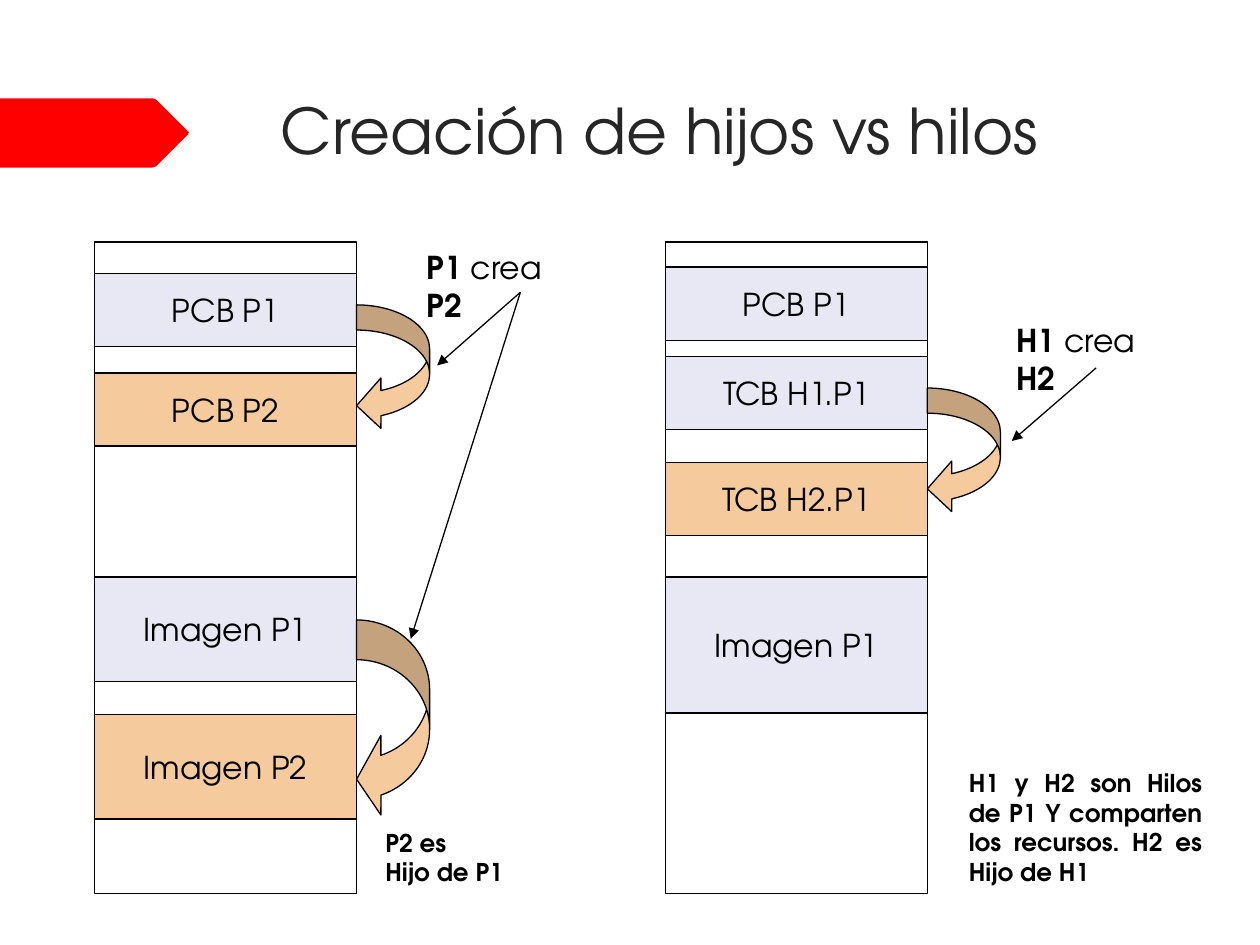
from dataclasses import dataclass

from lxml import etree
from pptx import Presentation
from pptx.dml.color import RGBColor
from pptx.enum.shapes import MSO_CONNECTOR, MSO_SHAPE
from pptx.enum.text import MSO_ANCHOR, MSO_AUTO_SIZE, PP_ALIGN
from pptx.oxml.ns import qn
from pptx.util import Inches, Pt


@dataclass(frozen=True)
class Theme:
    font: str = "TeX Gyre Adventor"
    title_size: int = 36
    label_size: int = 18
    note_size: int = 14
    line_width: float = 0.75
    title: str = "262626"
    ink: str = "000000"
    paper: str = "FFFFFF"
    parent: str = "E8E8F4"
    child: str = "F5CB9D"
    banner: str = "FF0000"


THEME = Theme()

TITLE = "Creación de hijos vs hilos"
BANNER = [(0, 0.78), (1.21, 0.78), (1.24, 0.79), (1.49, 1.04), (1.5, 1.05),
          (1.49, 1.07), (1.24, 1.32), (1.21, 1.33), (0, 1.33)]

COLUMN_TOP, COLUMN_WIDTH, COLUMN_HEIGHT = 1.92, 2.08, 5.17
BLOCK_HEIGHT, IMAGE_HEIGHT, SHARED_IMAGE_HEIGHT = 0.58, 0.83, 1.08
CURVE_WIDTH = 0.58

COLUMNS = [
    {
        "left": 0.75,
        "blocks": [
            ("PCB P1", 2.17, BLOCK_HEIGHT, THEME.parent),
            ("PCB P2", 2.96, BLOCK_HEIGHT, THEME.child),
            ("Imagen P1", 4.58, IMAGE_HEIGHT, THEME.parent),
            ("Imagen P2", 5.67, IMAGE_HEIGHT, THEME.child),
        ],
        "curves": [(2.42, 1), (4.92, 1.58)],
        "caption": ((3.29, 1.92, 1.44, 0.4), ("P1", " crea ", "P2")),
        "pointers": [((4.13, 2.32), (3.47, 2.9)), ((4.13, 2.32), (3.26, 5.07))],
        "note": ((2.96, 6.52, 1.14, 0.57), ["P2 es", "Hijo de P1"], PP_ALIGN.LEFT),
    },
    {
        "left": 5.28,
        "blocks": [
            ("PCB P1", 2.12, BLOCK_HEIGHT, THEME.parent),
            ("TCB H1.P1", 2.83, BLOCK_HEIGHT, THEME.parent),
            ("TCB H2.P1", 3.67, BLOCK_HEIGHT, THEME.child),
            ("Imagen P1", 4.58, SHARED_IMAGE_HEIGHT, THEME.parent),
        ],
        "curves": [(3.08, 1)],
        "caption": ((7.97, 2.5, 1.47, 0.4), ("H1", " crea ", "H2")),
        "pointers": [((8.7, 2.92), (8.03, 3.5))],
        "note": ((7.59, 6.05, 2.05, 1.03),
                 ["H1 y H2 son Hilos de P1 Y comparten los recursos. H2 es Hijo de H1"],
                 PP_ALIGN.JUSTIFY),
    },
]


def color(value):
    return RGBColor.from_string(value)


def inches(values):
    return [Inches(value) for value in values]


def style_font(font, size, bold=False, ink=THEME.ink):
    font.name = THEME.font
    font.size = Pt(size)
    font.bold = bold
    font.color.rgb = color(ink)


def style_line(line):
    line.color.rgb = color(THEME.ink)
    line.width = Pt(THEME.line_width)


def add_filled(slide, kind, box, fill):
    shape = slide.shapes.add_shape(kind, *inches(box))
    shape.shadow.inherit = False
    shape.fill.solid()
    shape.fill.fore_color.rgb = color(fill)
    style_line(shape.line)
    return shape


def add_block(slide, text, box, fill):
    shape = add_filled(slide, MSO_SHAPE.RECTANGLE, box, fill)
    frame = shape.text_frame
    frame.text = text
    frame.vertical_anchor = MSO_ANCHOR.MIDDLE
    frame.paragraphs[0].alignment = PP_ALIGN.CENTER
    style_font(frame.paragraphs[0].runs[0].font, THEME.label_size)


def add_curve(slide, left, top, height):
    shape = add_filled(slide, MSO_SHAPE.CURVED_LEFT_ARROW,
                       (left, top, CURVE_WIDTH, height), THEME.child)
    head = 0.2 * height / CURVE_WIDTH
    for index, value in enumerate((head, 2 * head, 0.333)):
        shape.adjustments[index] = value


def add_text_frame(slide, box):
    frame = slide.shapes.add_textbox(*inches(box)).text_frame
    frame.word_wrap = True
    return frame


def add_caption(slide, box, parts):
    paragraph = add_text_frame(slide, box).paragraphs[0]
    for index, part in enumerate(parts):
        run = paragraph.add_run()
        run.text = part
        style_font(run.font, THEME.label_size, bold=index != 1)


def add_note(slide, box, lines, alignment):
    frame = add_text_frame(slide, box)
    frame.text = "\n".join(lines)
    for paragraph in frame.paragraphs:
        paragraph.alignment = alignment
        style_font(paragraph.runs[0].font, THEME.note_size, bold=True)


def add_pointer(slide, start, end):
    connector = slide.shapes.add_connector(MSO_CONNECTOR.STRAIGHT, *inches(start + end))
    style_line(connector.line)
    properties = connector._element.spPr
    etree.SubElement(properties.find(qn("a:ln")), qn("a:tailEnd"), type="triangle")
    etree.SubElement(properties, qn("a:effectLst"))


def add_banner(slide):
    points = [tuple(inches(point)) for point in BANNER]
    builder = slide.shapes.build_freeform(*points[0])
    builder.add_line_segments(points[1:], close=True)
    shape = builder.convert_to_shape()
    shape.shadow.inherit = False
    shape.fill.solid()
    shape.fill.fore_color.rgb = color(THEME.banner)
    shape.line.fill.background()


def set_title(slide):
    title = slide.shapes.title
    title.left, title.top, title.width, title.height = inches((2.13, 0.68, 7.21, 1.4))
    frame = title.text_frame
    frame.text = TITLE
    frame.auto_size = MSO_AUTO_SIZE.NONE
    frame.vertical_anchor = MSO_ANCHOR.TOP
    frame.paragraphs[0].alignment = PP_ALIGN.LEFT
    style_font(frame.paragraphs[0].runs[0].font, THEME.title_size, ink=THEME.title)


def add_column(slide, column):
    left = column["left"]
    add_filled(slide, MSO_SHAPE.RECTANGLE,
               (left, COLUMN_TOP, COLUMN_WIDTH, COLUMN_HEIGHT), THEME.paper)
    for text, top, height, fill in column["blocks"]:
        add_block(slide, text, (left, top, COLUMN_WIDTH, height), fill)
    for top, height in column["curves"]:
        add_curve(slide, left + COLUMN_WIDTH, top, height)
    add_caption(slide, *column["caption"])
    for start, end in column["pointers"]:
        add_pointer(slide, start, end)
    add_note(slide, *column["note"])


def main():
    presentation = Presentation()
    presentation.slide_width, presentation.slide_height = inches((10, 7.5))
    slide = presentation.slides.add_slide(presentation.slide_layouts[5])
    add_banner(slide)
    set_title(slide)
    for column in COLUMNS:
        add_column(slide, column)
    presentation.save("out.pptx")


if __name__ == "__main__":
    main()
